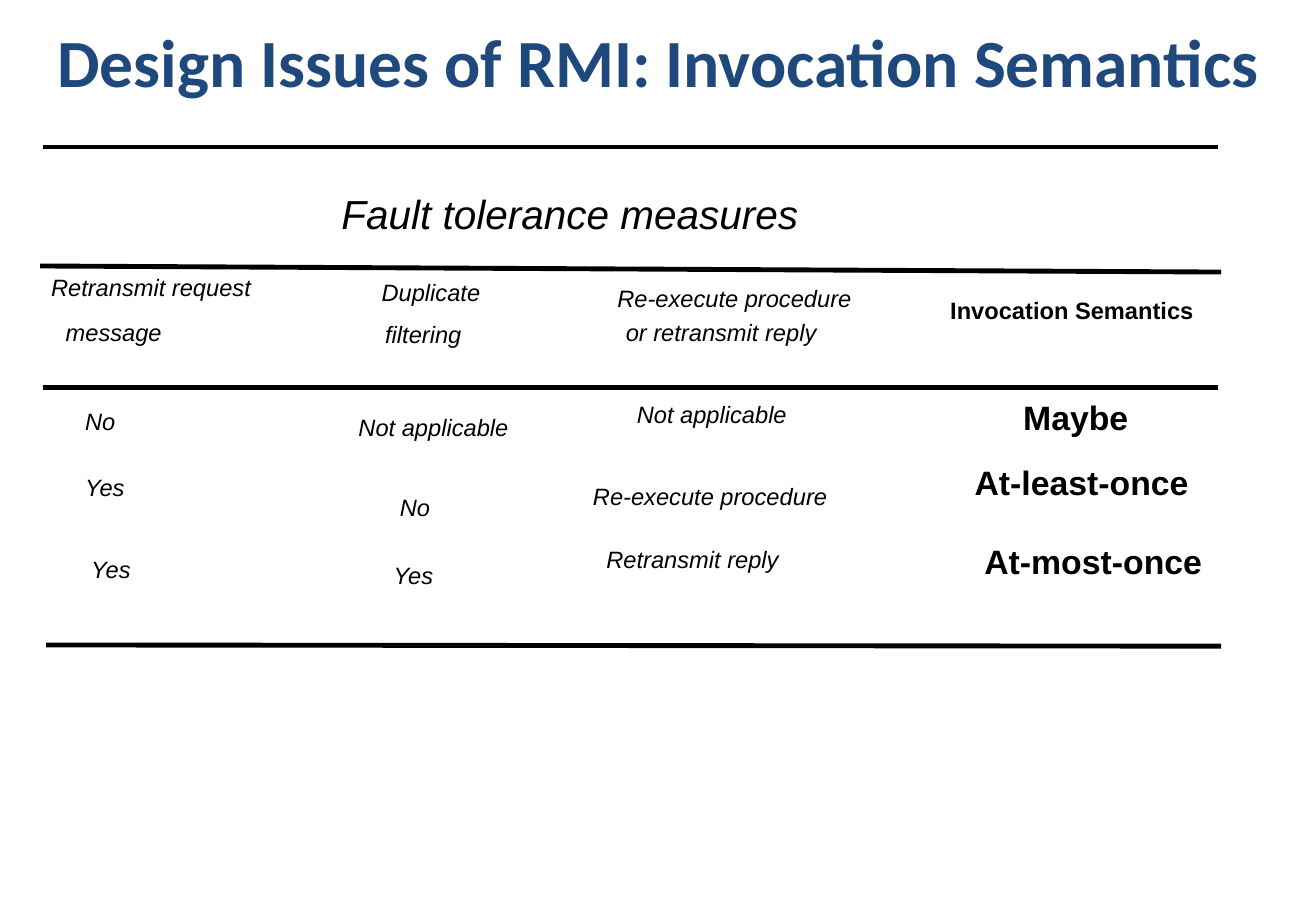
from lxml import etree
from pptx import Presentation
from pptx.dml.color import RGBColor
from pptx.enum.shapes import MSO_CONNECTOR
from pptx.enum.text import MSO_ANCHOR, MSO_AUTO_SIZE, PP_ALIGN
from pptx.oxml.ns import qn
from pptx.util import Inches, Pt

STRAIGHT = MSO_CONNECTOR.STRAIGHT
MIDDLE = MSO_ANCHOR.MIDDLE
GROW, FIXED = MSO_AUTO_SIZE.SHAPE_TO_FIT_TEXT, MSO_AUTO_SIZE.NONE
CENTER, LEFT = PP_ALIGN.CENTER, PP_ALIGN.LEFT
BLACK, NAVY = "000000", "1F497D"


def color(code):
    return RGBColor.from_string(code)


class Page:
    face = "Arial"
    weight = 2.88

    def __init__(self, deck):
        self.slide = deck.slides.add_slide(deck.slide_layouts[5])

    def style(self, para, size, code, face, bold=False, slant=False):
        font = para.font
        font.name, font.size = face, Pt(size)
        font.bold, font.italic = bold, slant
        font.color.rgb = color(code)

    def title(self, text, width, height):
        shape = self.slide.shapes.title
        shape.left = shape.top = Inches(0)
        shape.width, shape.height = Inches(width), Inches(height)
        frame = shape.text_frame
        frame.text = text
        frame.auto_size = FIXED
        frame.vertical_anchor = MIDDLE
        para = frame.paragraphs[0]
        para.alignment = CENTER
        self.style(para, 40, NAVY, "Calibri", bold=True)

    def label(self, text, left, top, width, height=0.37, size=14, bold=False):
        box = self.slide.shapes.add_textbox(
            Inches(left), Inches(top), Inches(width), Inches(height))
        frame = box.text_frame
        frame.margin_left = frame.margin_right = Inches(0)
        frame.margin_top = frame.margin_bottom = Inches(0)
        frame.word_wrap = False
        frame.auto_size = GROW
        frame.text = text
        para = frame.paragraphs[0]
        para.alignment = LEFT
        self.style(para, size, BLACK, self.face, bold, not bold)

    def rule(self, x1, y1, x2, y2):
        line = self.slide.shapes.add_connector(
            STRAIGHT, Inches(x1), Inches(y1), Inches(x2), Inches(y2))
        line.line.color.rgb = color(BLACK)
        line.line.width = Pt(self.weight)
        etree.SubElement(line._element.spPr, qn("a:effectLst"))


def main():
    deck = Presentation()
    deck.slide_width, deck.slide_height = Inches(10.83), Inches(7.5)
    page = Page(deck)
    page.title("Design Issues of RMI: Invocation Semantics", 10.83, 0.99)

    # Rules across the grid
    for ends in [(0.35, 1.21, 10.02, 1.21), (0.33, 2.19, 10.05, 2.24),
                 (0.35, 3.19, 10.02, 3.19), (0.38, 5.31, 10.05, 5.32)]:
        page.rule(*ends)

    # Headings
    page.label("Fault tolerance measures", 2.81, 1.56, 3.8, 0.4, size=24)
    page.label("Invocation Semantics", 7.82, 2.44, 2.06, 0.24, bold=True)
    heads = [
        ("Retransmit request", 0.42, 2.25, 2.05),
        ("message", 0.54, 2.62, 0.95),
        ("Duplicate", 3.14, 2.29, 1.05),
        ("filtering", 3.17, 2.63, 0.76),
        ("Re-execute procedure", 5.08, 2.34, 2.39),
        ("or retransmit reply", 5.15, 2.62, 1.89),
    ]

    # Measures, column by column
    cells = [
        ("No", 0.7, 3.35, 0.3),
        ("Yes", 0.7, 3.89, 0.39),
        ("Yes", 0.75, 4.57, 0.39),
        ("Not applicable", 2.95, 3.4, 1.49),
        ("No", 3.29, 4.06, 0.3),
        ("Yes", 3.24, 4.62, 0.39),
        ("Not applicable", 5.24, 3.29, 1.49),
        ("Re-execute procedure", 4.88, 3.97, 2.32),
        ("Retransmit reply", 4.99, 4.49, 1.71),
    ]
    for item in heads + cells:
        page.label(*item)

    # Resulting semantics
    for item in [("Maybe", 8.42, 3.27, 0.87),
                 ("At-least-once", 8.02, 3.8, 1.78),
                 ("At-most-once", 8.1, 4.45, 1.81)]:
        page.label(*item, height=0.34, size=20, bold=True)

    deck.save("out.pptx")


if __name__ == "__main__":
    main()
